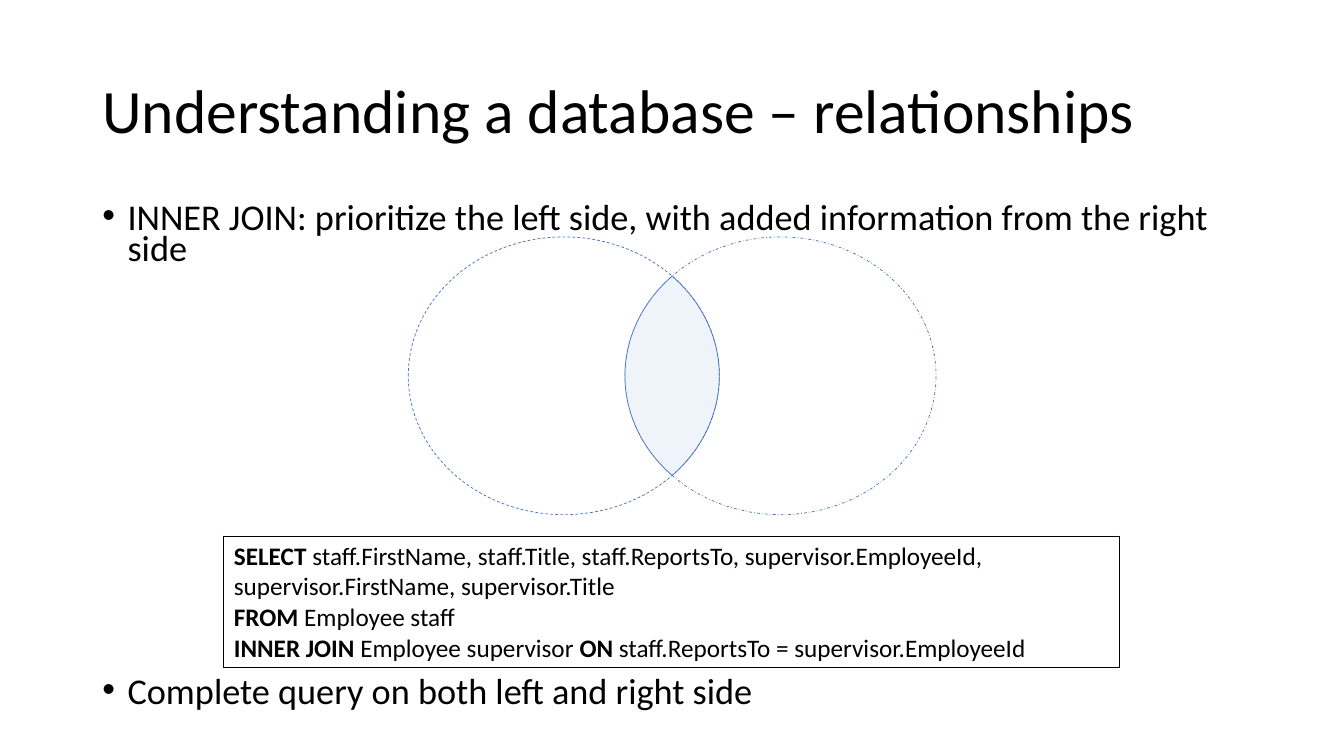
"""Build a slide that explains INNER JOIN with a Venn diagram and a query."""
from math import acos, cos, sin

from lxml import etree
from pptx import Presentation
from pptx.dml.color import RGBColor
from pptx.enum.dml import MSO_LINE
from pptx.enum.shapes import MSO_SHAPE
from pptx.enum.text import MSO_ANCHOR
from pptx.oxml.ns import qn
from pptx.util import Cm, Pt

BLACK = RGBColor(0x00, 0x00, 0x00)
WHITE = RGBColor(0xFF, 0xFF, 0xFF)
BLUE = RGBColor(0x44, 0x72, 0xC4)
PALE_BLUE = RGBColor(0xDE, 0xEB, 0xF7)
ELLIPSE = MSO_SHAPE.OVAL
DASH, DASH_DOT = MSO_LINE.DASH, MSO_LINE.DASH_DOT
MIDDLE, TOP = MSO_ANCHOR.MIDDLE, MSO_ANCHOR.TOP

RADIUS_X, RADIUS_Y = 3.92, 3.5
LEFT_X, RIGHT_X, CENTRE_Y = 14.21, 19.67, 9.47
ARC_STEPS = 40

QUERY = [
    [("SELECT ", True),
     ("staff.FirstName, staff.Title, staff.ReportsTo, supervisor.EmployeeId, "
      "supervisor.FirstName, supervisor.Title", False)],
    [("FROM", True), (" Employee staff", False)],
    [("INNER JOIN ", True), ("Employee supervisor ", False),
     ("ON ", True), ("staff.ReportsTo = supervisor.EmployeeId", False)],
]


class Slide:
    font = "Calibri"

    def __init__(self, page):
        self.page = page

    def style(self, span, size, bold=False):
        span.font.name = self.font
        span.font.size = Pt(size)
        span.font.bold = bold
        span.font.color.rgb = BLACK

    def paint(self, shape, colour, dash=None):
        shape.shadow.inherit = False
        shape.fill.solid()
        shape.fill.fore_color.rgb = colour
        colour_node = shape.fill._xPr.find(qn("a:solidFill"))[0]
        etree.SubElement(colour_node, qn("a:alpha"), val="50000")
        shape.line.color.rgb = BLUE
        shape.line.width = Pt(0.5)
        if dash is not None:
            shape.line.dash_style = dash

    def circle(self, centre_x, dash):
        shape = self.page.shapes.add_shape(
            ELLIPSE, Cm(centre_x - RADIUS_X), Cm(CENTRE_Y - RADIUS_Y),
            Cm(2 * RADIUS_X), Cm(2 * RADIUS_Y))
        self.paint(shape, WHITE, dash)

    def overlap(self):
        limit = acos((RIGHT_X - LEFT_X) / 2 / RADIUS_X)
        angles = [limit * (2 * step / ARC_STEPS - 1) for step in range(ARC_STEPS + 1)]
        points = [(Cm(centre + side * RADIUS_X * cos(angle)),
                   Cm(CENTRE_Y + side * RADIUS_Y * sin(angle)))
                  for centre, side in ((LEFT_X, 1), (RIGHT_X, -1)) for angle in angles]
        builder = self.page.shapes.build_freeform(*points[0])
        builder.add_line_segments(points[1:], close=True)
        self.paint(builder.convert_to_shape(), PALE_BLUE)

    def text(self, top, height, lines, size, spacing, anchor=TOP):
        box = self.page.shapes.add_textbox(Cm(2.33), Cm(top), Cm(29.21), Cm(height))
        frame = box.text_frame
        frame.word_wrap = True
        frame.vertical_anchor = anchor
        frame.text = "\n".join(lines)
        for para in frame.paragraphs:
            para.line_spacing = spacing
            self.style(para.runs[0], size)
        return frame.paragraphs

    def bullets(self, top, height, lines, gaps):
        paragraphs = self.text(top, height, lines, 25.9, 0.7)
        for para, gap in zip(paragraphs, gaps):
            para.space_before = Pt(gap)
            properties = para._p.get_or_add_pPr()
            properties.set("marL", str(Cm(0.635)))
            properties.set("indent", str(-Cm(0.635)))
            etree.SubElement(properties, qn("a:buFont"), typeface="Arial")
            etree.SubElement(properties, qn("a:buChar"), char="•")

    def query(self, left, top, width, height, lines):
        frame = self.page.shapes.add_table(
            1, 1, Cm(left), Cm(top), Cm(width), Cm(height))
        cell = frame.table.cell(0, 0)
        properties = cell._tc.get_or_add_tcPr()
        for edge in ("a:lnL", "a:lnR", "a:lnT", "a:lnB"):
            border = etree.SubElement(properties, qn(edge), w=str(Pt(1)))
            fill = etree.SubElement(border, qn("a:solidFill"))
            etree.SubElement(fill, qn("a:srgbClr"), val=str(BLACK))
        cell.fill.solid()
        cell.fill.fore_color.rgb = WHITE
        cell.text_frame.text = "\n" * (len(lines) - 1)
        for para, spans in zip(cell.text_frame.paragraphs, lines):
            for words, bold in spans:
                span = para.add_run()
                span.text = words
                self.style(span, 18, bold)


def main():
    deck = Presentation()
    deck.slide_width, deck.slide_height = Cm(33.87), Cm(19.05)
    slide = Slide(deck.slides.add_slide(deck.slide_layouts[6]))
    slide.circle(RIGHT_X, DASH_DOT)
    slide.circle(LEFT_X, DASH)
    slide.text(1.01, 3.68, ["Understanding a database – relationships"], 44, 0.9, MIDDLE)
    slide.bullets(5.08, 13.49, [
        "INNER JOIN: prioritize the left side, with added information from the right side",
        "Complete query on both left and right side",
    ], (10, 295))
    slide.overlap()
    slide.query(5.64, 13.51, 22.58, 3.3, QUERY)
    deck.save("out.pptx")


if __name__ == "__main__":
    main()
